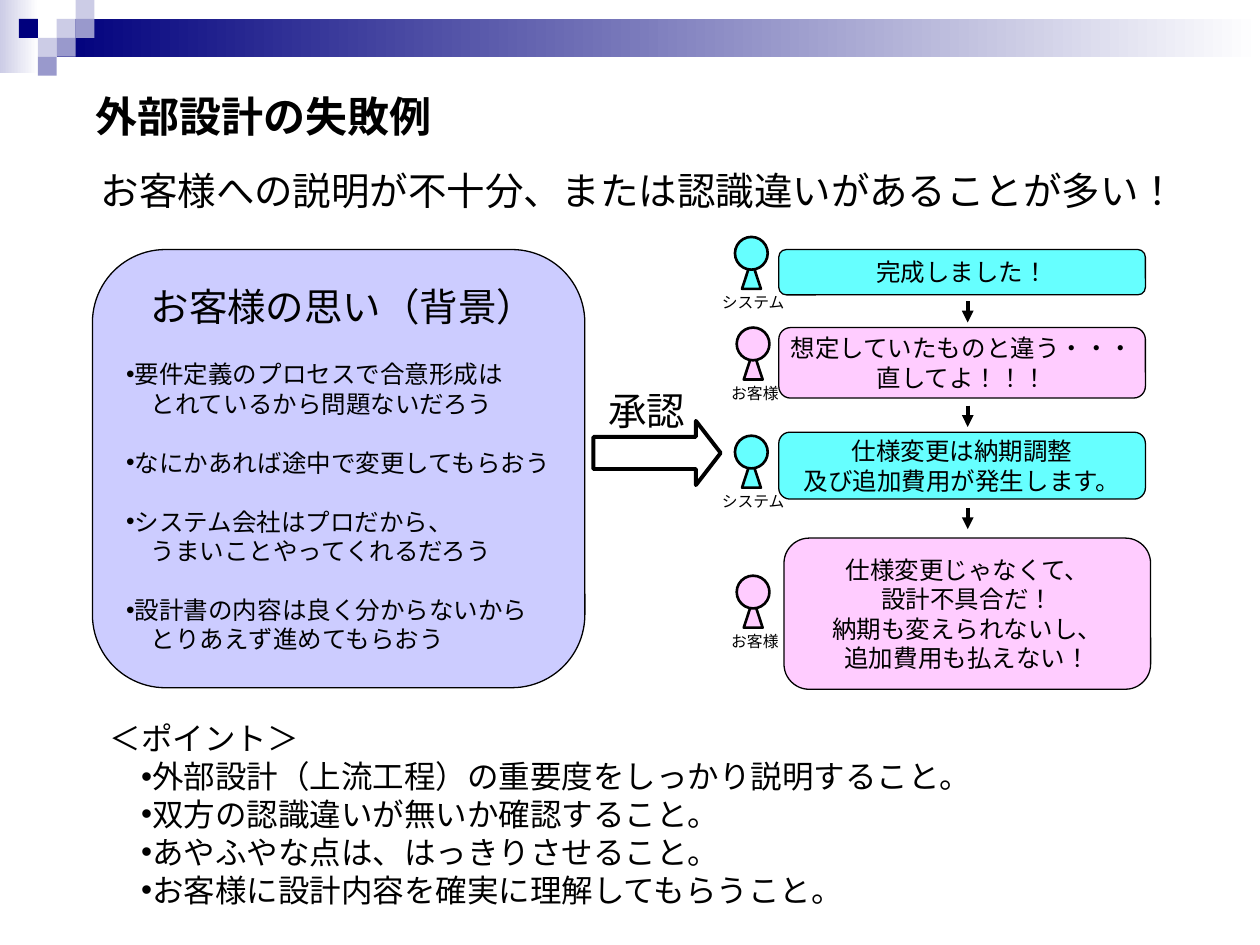
import lxml.etree
import pptx
import pptx.dml.color
import pptx.enum.lang
import pptx.enum.shapes
import pptx.enum.text
import pptx.oxml.ns
import pptx.util

Pt = pptx.util.Pt
RGB = pptx.dml.color.RGBColor.from_string
qn = pptx.oxml.ns.qn
SHAPE = pptx.enum.shapes.MSO_SHAPE
ALIGN = pptx.enum.text.PP_ALIGN
ANCHOR = pptx.enum.text.MSO_ANCHOR
JAPANESE = pptx.enum.lang.MSO_LANGUAGE_ID.JAPANESE
SubElement = lxml.etree.SubElement

THEME = {
    "font": "Arial",
    "color": {"ink": "000000", "white": "FFFFFF", "navy": "00007D", "mid": "9999CC",
              "light": "CCCCE6", "panel": "CCCCFF", "system": "66FFFF", "customer": "FFCCFF"},
    "size": {"title": 24, "lead": 22, "points": 18, "body": 14, "label": 9},
}
COLOR, SIZE = THEME["color"], THEME["size"]


def add_shape(shapes, kind, box, fill, line=0):
    """Fill is one colour name, or a pair of names for a left-to-right gradient."""
    sp = shapes.add_shape(kind, *map(Pt, box))
    sp.shadow.inherit = False
    if isinstance(fill, tuple):
        sp.fill.gradient()
        sp.fill.gradient_angle = 0
        for stop, name in zip(sp.fill.gradient_stops, fill):
            stop.color.rgb = RGB(COLOR[name])
    else:
        sp.fill.solid()
        sp.fill.fore_color.rgb = RGB(COLOR[fill])
    if line:
        sp.line.color.rgb = RGB(COLOR["ink"])
        sp.line.width = Pt(line)
    else:
        sp.line.fill.background()
    return sp


def write(sp, lines, size, align=ALIGN.LEFT, anchor=ANCHOR.TOP, bold=False, side=7.2):
    """Each line is a text, or (text, format) with size, before, left and bullet width."""
    tf = sp.text_frame
    frame = {"word_wrap": True, "auto_size": pptx.enum.text.MSO_AUTO_SIZE.NONE,
             "vertical_anchor": anchor, "margin_left": Pt(side), "margin_right": Pt(side),
             "margin_top": Pt(3.6), "margin_bottom": Pt(3.6)}
    for name, value in frame.items():
        setattr(tf, name, value)
    for i, line in enumerate(lines):
        text, fmt = (line, {}) if isinstance(line, str) else line
        p = tf.paragraphs[0] if i == 0 else tf.add_paragraph()
        bullet = fmt.get("bullet", 0)
        pPr = p._p.get_or_add_pPr()
        pPr.set("marL", str(Pt(fmt.get("left", 0) + bullet)))
        pPr.set("indent", str(-Pt(bullet)))
        if bullet:
            SubElement(pPr, qn("a:buFont")).set("typeface", THEME["font"])
            SubElement(pPr, qn("a:buChar")).set("char", "•")
        else:
            SubElement(pPr, qn("a:buNone"))
        p.alignment = align
        p.space_before = Pt(fmt.get("before", 0))
        r = p.add_run()
        r.text = text
        r.font.color.rgb = RGB(COLOR["ink"])
        font = {"name": THEME["font"], "size": Pt(SIZE[fmt.get("size", size)]), "bold": bold,
                "language_id": JAPANESE}
        for name, value in font.items():
            setattr(r.font, name, value)
        SubElement(r._r.get_or_add_rPr(), qn("a:ea")).set("typeface", THEME["font"])


prs = pptx.Presentation()
prs.slide_width, prs.slide_height = Pt(720), Pt(540)
s = prs.slides.add_slide(prs.slide_layouts[1])
title, points = s.placeholders

# Header band and its mosaic
add_shape(s.shapes, SHAPE.RECTANGLE, (0, 0, 22, 42), ("light", "white"))
add_shape(s.shapes, SHAPE.RECTANGLE, (32.4, 10.8, 687.6, 21.6), ("navy", "white"))
TILE = 10.8
for col, row, fill in [(3, 1, "light"), (4, 0, "light"), (4, 1, "mid"), (2, 2, "light"),
                       (1, 1, "navy"), (3, 2, "mid"), (2, 3, "mid")]:
    add_shape(s.shapes, SHAPE.RECTANGLE, (col * TILE, row * TILE, TILE, TILE), fill)

# Title, lead sentence and closing points
for sp, box in [(title, (47.5, 48.2, 300, 36)), (points, (55.4, 407.5, 560, 116))]:
    sp.left, sp.top, sp.width, sp.height = map(Pt, box)
write(title, ["外部設計の失敗例"], "title", bold=True)
item = {"left": 18, "bullet": 6.3}
write(points, ["＜ポイント＞",
               ("外部設計（上流工程）の重要度をしっかり説明すること。", item),
               ("双方の認識違いが無いか確認すること。", item),
               ("あやふやな点は、はっきりさせること。", item),
               ("お客様に設計内容を確実に理解してもらうこと。", item)], "points")
lead = s.shapes.add_textbox(*map(Pt, (50.5, 92, 650, 34)))
write(lead, ["お客様への説明が不十分、または認識違いがあることが多い！"], "lead")

# Customer's thoughts
panel = add_shape(s.shapes, SHAPE.ROUNDED_RECTANGLE, (52.8, 142.6, 281.4, 250.4), "panel", 0.75)
thought = {"before": 16.9, "bullet": 4.9}
more = {"left": 14}
write(panel, [("お客様の思い（背景）", {"size": "lead", "left": 14}),
              ("要件定義のプロセスで合意形成は", thought),
              ("とれているから問題ないだろう", more),
              ("なにかあれば途中で変更してもらおう", thought),
              ("システム会社はプロだから、", thought),
              ("うまいことやってくれるだろう", more),
              ("設計書の内容は良く分からないから", thought),
              ("とりあえず進めてもらおう", more)], "body", anchor=ANCHOR.MIDDLE)
panel.text_frame.margin_right = 0

# Approval
arrow = add_shape(s.shapes, SHAPE.RIGHT_ARROW, (339.1, 240.5, 72.7, 36.7), "white", 2.25)
arrow.adjustments[0], arrow.adjustments[1] = 0.5, 0.386
approval = s.shapes.add_textbox(*map(Pt, (339.5, 217.5, 60, 34)))
write(approval, ["承認"], "lead", ALIGN.CENTER)

# Dialogue: speaker, bubble left, top and height, head top, lines
names = {"system": "システム", "customer": "お客様"}
HEAD = 18.7
for who, left, top, height, head, lines in [
    ("system", 445, 142.6, 25.9, 135.4, ["完成しました！"]),
    ("customer", 445, 187.2, 40.3, 187.2, ["想定していたものと違う・・・", "直してよ！！！"]),
    ("system", 445, 247, 38.2, 249, ["仕様変更は納期調整", "及び追加費用が発生します。"]),
    ("customer", 448, 307.5, 86.4, 329, ["仕様変更じゃなくて、", "設計不具合だ！",
                                         "納期も変えられないし、", "追加費用も払えない！"]),
]:
    bubble = add_shape(s.shapes, SHAPE.ROUNDED_RECTANGLE, (left, top, 209.5, height), who, 0.75)
    write(bubble, lines, "body", ALIGN.CENTER, ANCHOR.MIDDLE, side=0)
    x = 420 if who == "system" else 421
    person = s.shapes.add_group_shape().shapes
    add_shape(person, SHAPE.ISOSCELES_TRIANGLE, (x + 4, head + 13.2, 10.8, 16.5), who, 1.5)
    add_shape(person, SHAPE.OVAL, (x, head, HEAD, HEAD), who, 1.5)
    label = person.add_textbox(*map(Pt, (x + HEAD / 2 - 29, head + 28.4, 60, 18)))
    write(label, [names[who]], "label", ALIGN.CENTER)

for top in (172.1, 231.8, 290.2):
    cx = s.shapes.add_connector(pptx.enum.shapes.MSO_CONNECTOR.STRAIGHT,
                                Pt(553), Pt(top), Pt(553), Pt(top + 12.2))
    cx.line.color.rgb = RGB(COLOR["ink"])
    cx.line.width = Pt(2.25)
    SubElement(cx.line._get_or_add_ln(), qn("a:tailEnd")).set("type", "triangle")
    SubElement(cx._element.spPr, qn("a:effectLst"))

prs.save("out.pptx")
